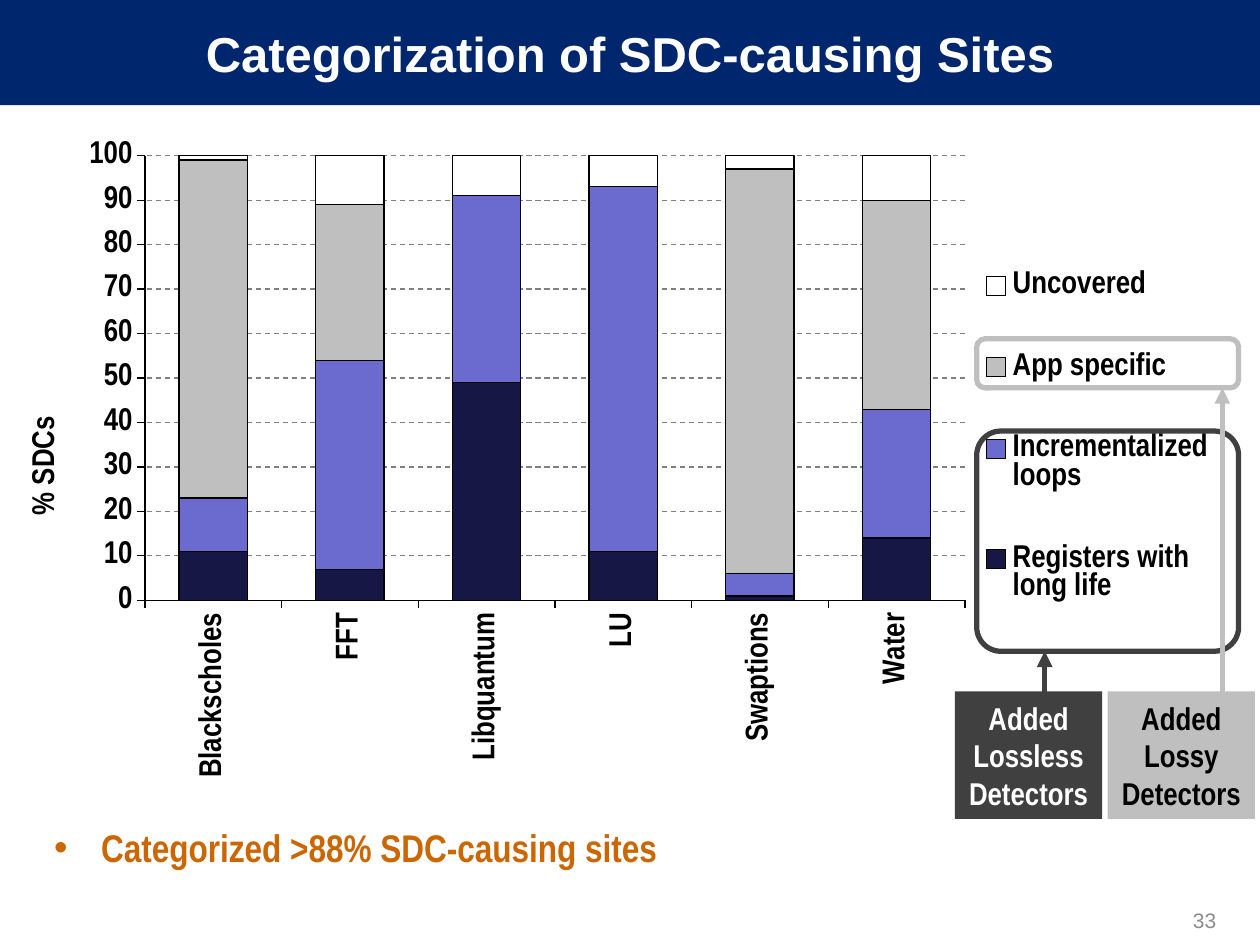
from lxml import etree
from pptx import Presentation
from pptx.chart.data import CategoryChartData as Data
from pptx.dml.color import RGBColor as Rgb
from pptx.enum.chart import XL_CHART_TYPE as Kind, XL_LEGEND_POSITION as Side
from pptx.enum.dml import MSO_LINE as Dash
from pptx.enum.shapes import MSO_CONNECTOR as Link, MSO_SHAPE as Form
from pptx.enum.text import MSO_ANCHOR as Anchor, PP_ALIGN as Align
from pptx.oxml.ns import qn
from pptx.util import Cm, Pt

SIZE = (25.4, 19.05)
NAVY, DARK, GREY, BLACK, WHITE = "00266E", "404040", "BFBFBF", "000000", "FFFFFF"
HEAD = ("Categorization of SDC-causing Sites", (0, 0, 25.4, 2.12))
POINT = ("Categorized >88% SDC-causing sites", (0.84, 16.31, 23.93, 1.7))
PAGE = ("33", (18.85, 18.03, 5.92, 1.02))
CHART = (0.2, 2.54, 25.2, 13.34)
CATS = ["Blackscholes", "FFT", "Libquantum", "LU", "Swaptions", "Water"]
SERIES = [
    ("Registers with long life", "171745", (11, 7, 49, 11, 1, 14)),
    ("Incrementalized loops", "6B6BCF", (12, 47, 42, 82, 5, 29)),
    ("App specific", GREY, (76, 35, 0, 0, 91, 47)),
    ("Uncovered", WHITE, (1, 11, 9, 7, 3, 10)),
]
RING_X, RING_W = 19.69, 5.28
BOX_Y, BOX_W, BOX_H = 13.94, 2.97, 2.57
GROUPS = [
    dict(text=["Added Lossless Detectors"], hue=DARK, ink=WHITE,
         top=8.69, high=4.44, bend=0.11, left=19.25, stem=21.06),
    dict(text=["Added Lossy", "Detectors"], hue=GREY, ink=BLACK,
         top=6.83, high=0.99, bend=0.17, left=22.33, stem=24.64),
]
BOLD = dict(name="Arial Narrow", size=Pt(18), bold=True)


def tint(part, hue):
    part.rgb = Rgb.from_string(hue)


def paint(fill, hue):
    fill.solid()
    tint(fill.fore_color, hue)


def style(font, hue, form):
    for key, val in form.items():
        setattr(font, key, val)
    tint(font.color, hue)


def stroke(line, hue, width):
    paint(line.fill, hue)
    line.width = Pt(width)


def write(shape, lines, hue, form, align, anchor=Anchor.MIDDLE, pad=0.25):
    frame = shape.text_frame
    frame.word_wrap = True
    frame.vertical_anchor = anchor
    frame.margin_left = frame.margin_right = Cm(pad)
    frame.text = "\n".join(lines)
    for para in frame.paragraphs:
        para.alignment = align
        style(para.runs[0].font, hue, form)
    return frame.paragraphs[0]


def block(slide, form, box, fill=None):
    shape = slide.shapes.add_shape(form, *map(Cm, box))
    shape.shadow.inherit = False
    shape.line.fill.background()
    if fill:
        paint(shape.fill, fill)
    else:
        shape.fill.background()
    return shape


def label(slide, item, *look):
    text, box = item
    return write(slide.shapes.add_textbox(*map(Cm, box)), [text], *look)


def place(node, index, inner=False, **spots):
    for old in node.findall(qn("c:layout")):
        node.remove(old)
    layout = etree.Element(qn("c:layout"))
    node.insert(index, layout)
    manual = etree.SubElement(layout, qn("c:manualLayout"))
    vals = {"layoutTarget": "inner"} if inner else {}
    vals.update(xMode="edge", yMode="edge", **spots)
    for key, val in vals.items():
        etree.SubElement(manual, qn("c:" + key)).set("val", str(val))


def turn(node):
    body = next(node.iter(qn("a:bodyPr")))
    body.set("rot", "-5400000")
    body.set("vert", "horz")


def graph(slide):
    data = Data()
    data.categories = CATS
    for name, _, vals in SERIES:
        data.add_series(name, vals)
    chart = slide.shapes.add_chart(Kind.COLUMN_STACKED, *map(Cm, CHART), data).chart
    style(chart.font, BLACK, BOLD)
    chart.has_title = False
    plot = chart.plots[0]
    plot.gap_width, plot.overlap, plot.vary_by_categories = 100, 100, False
    for series, (_, hue, _) in zip(plot.series, SERIES):
        paint(series.format.fill, hue)
        stroke(series.format.line, BLACK, 0.75)
    cat, val = chart.category_axis, chart.value_axis
    for axis in (cat, val):
        stroke(axis.format.line, BLACK, 0.75)
        style(axis.tick_labels.font, BLACK, BOLD)
    turn(cat._element.find(qn("c:txPr")))
    val.minimum_scale, val.maximum_scale, val.major_unit = 0, 100, 10
    grid = val.major_gridlines.format.line
    stroke(grid, "808080", 0.75)
    grid.dash_style = Dash.DASH
    title = val.axis_title
    title.text_frame.text = "% SDCs"
    style(title.text_frame.paragraphs[0].runs[0].font, BLACK, BOLD)
    turn(title._element)
    place(title._element, 1, x=0.01, y=0.43)
    chart.has_legend = True
    legend = chart.legend
    legend.position, legend.include_in_layout = Side.RIGHT, False
    style(legend.font, BLACK, BOLD)
    place(legend._element, 1, x=0.77, y=0.14, w=0.2, h=0.66)
    area = chart._chartSpace.chart.plotArea
    place(area, 0, True, x=0.108, y=0.045, w=0.656, h=0.672)


def arrow(slide, x, start, end, hue):
    line = slide.shapes.add_connector(Link.STRAIGHT, *map(Cm, (x, start, x, end)))
    stroke(line.line, hue, 3)
    etree.SubElement(line.line._get_or_add_ln(), qn("a:tailEnd")).set("type", "triangle")
    etree.SubElement(line._element.spPr, qn("a:effectLst"))


def group(slide, text, hue, ink, top, high, bend, left, stem):
    ring = block(slide, Form.ROUNDED_RECTANGLE, (RING_X, top, RING_W, high))
    ring.adjustments[0] = bend
    stroke(ring.line, hue, 3)
    box = block(slide, Form.RECTANGLE, (left, BOX_Y, BOX_W, BOX_H), hue)
    write(box, text, ink, BOLD, Align.CENTER, pad=0.2)
    arrow(slide, stem, BOX_Y, top + high, hue)


def bullet(para):
    para.line_spacing, para.space_before = 1.2, Pt(12.2)
    props = para._p.get_or_add_pPr()
    props.set("marL", str(Cm(0.95)))
    props.set("indent", str(Cm(-0.95)))
    etree.SubElement(props, qn("a:buFont")).set("typeface", "Arial")
    etree.SubElement(props, qn("a:buChar")).set("char", "•")


def main():
    deck = Presentation()
    deck.slide_width, deck.slide_height = map(Cm, SIZE)
    slide = deck.slides.add_slide(deck.slide_layouts[6])
    text, box = HEAD
    band = block(slide, Form.RECTANGLE, box, NAVY)
    write(band, [text], WHITE, dict(name="Arial", size=Pt(28), bold=True), Align.CENTER)
    bullet(label(slide, POINT, "CC6600", {**BOLD, "size": Pt(22)}, Align.LEFT, Anchor.TOP))
    label(slide, PAGE, "8C8C8C", dict(name="Arial", size=Pt(12)), Align.RIGHT)
    graph(slide)
    for item in GROUPS:
        group(slide, **item)
    deck.save("out.pptx")


if __name__ == "__main__":
    main()
